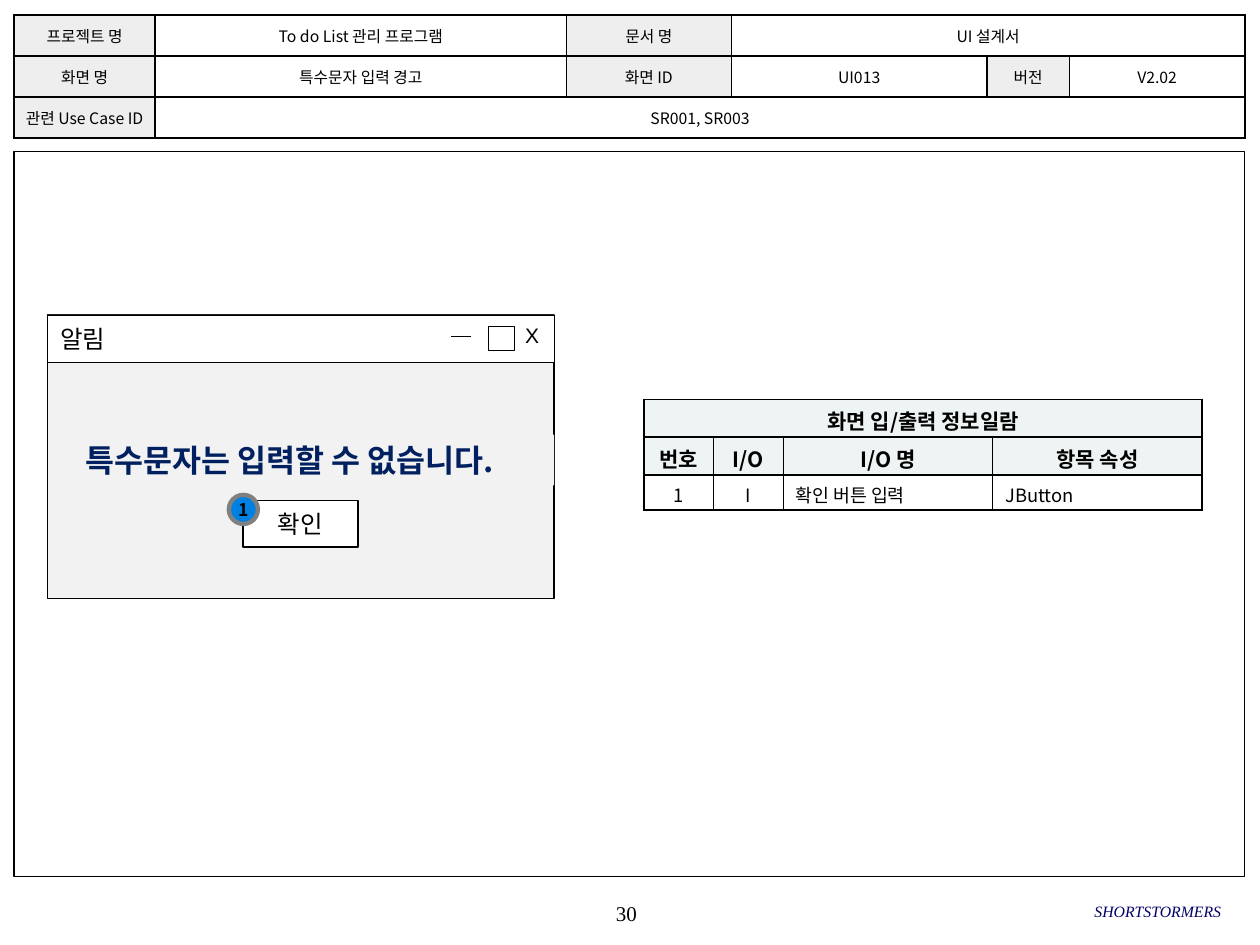
"""Build the UI design sheet for the special-character warning screen."""
from dataclasses import dataclass

from lxml.etree import SubElement
from pptx import Presentation
from pptx.dml.color import RGBColor as RGB
from pptx.enum.shapes import MSO_CONNECTOR as CONN, MSO_SHAPE as SHAPE
from pptx.enum.text import MSO_ANCHOR as ANCHOR, PP_ALIGN as ALIGN
from pptx.oxml.ns import qn
from pptx.util import Pt


@dataclass(frozen=True)
class Theme:
    """Fonts, colours and type sizes of the sheet."""
    sans: str = "Noto Sans CJK KR"
    serif: str = "Times New Roman"
    plain: str = "Arial"
    black: str = "000000"
    white: str = "FFFFFF"
    panel: str = "F2F2F2"
    label: str = "EEEEEE"
    head: str = "EEF4F4"
    badge: str = "0081E2"
    ring: str = "808080"
    navy: str = "002060"
    team: str = "000066"
    small: float = 9
    mark: float = 10
    cell: float = 10.5
    base: float = 12
    window: float = 14
    message: float = 18


T = Theme()


def set_attrs(obj, values):
    """Set every attribute named in a dict."""
    for name, value in values.items():
        setattr(obj, name, value)


def write(tf, text, size, align=ALIGN.LEFT, color=T.black, name=T.sans, **style):
    """Write one formatted paragraph into a text frame."""
    p = tf.paragraphs[0]
    p.alignment = align
    r = p.add_run()
    r.text = text
    set_attrs(r.font, dict(size=Pt(size), name=name, **style))
    r.font.color.rgb = RGB.from_string(color)
    SubElement(r.font._element, qn("a:ea"), typeface=name)


def paint(fill, color):
    """Apply a solid fill, or none."""
    if color:
        fill.solid()
        fill.fore_color.rgb = RGB.from_string(color)
    else:
        fill.background()


def add_box(shapes, box, fill=None, line=T.black, width=1, kind=SHAPE.RECTANGLE):
    """Add a flat preset shape and return it."""
    sp = shapes.add_shape(kind, *map(Pt, box))
    sp.shadow.inherit = False
    paint(sp.fill, fill)
    paint(sp.line.fill, line)
    if line:
        sp.line.width = Pt(width)
    set_attrs(sp.text_frame, dict(word_wrap=False, vertical_anchor=ANCHOR.MIDDLE))
    return sp


def add_label(shapes, box, text, size, align, **style):
    """Add a text box without insets."""
    tf = shapes.add_textbox(*map(Pt, box)).text_frame
    set_attrs(tf, dict(word_wrap=True, vertical_anchor=ANCHOR.MIDDLE, margin_left=0,
                       margin_right=0, margin_top=0, margin_bottom=0))
    write(tf, text, size, align, **style)


def add_rule(shapes, start, end, width):
    """Add a straight black line."""
    line = shapes.add_connector(CONN.STRAIGHT, *map(Pt, start + end))
    line.line.color.rgb = RGB.from_string(T.black)
    line.line.width = Pt(width)
    SubElement(line._element.spPr, qn("a:effectLst"))


def add_borders(cell):
    """Draw a black one-point border on each side of a cell."""
    tc_pr = cell._tc.get_or_add_tcPr()
    for i, side in enumerate(("lnL", "lnR", "lnT", "lnB")):
        ln = SubElement(tc_pr, qn(f"a:{side}"), w=str(Pt(1)))
        fill = SubElement(ln, qn("a:solidFill"))
        SubElement(fill, qn("a:srgbClr"), val=T.black)
        tc_pr.insert(i, ln)


def add_table(shapes, origin, widths, heights, rows, style_of, margins):
    """Add a bordered table; None extends the cell to its left."""
    size = sum(widths), sum(heights)
    table = shapes.add_table(len(rows), len(widths), *map(Pt, origin + size)).table
    set_attrs(table, dict(first_row=False, horz_banding=False))
    for col, width in zip(table.columns, widths):
        col.width = Pt(width)
    for i, (row, height) in enumerate(zip(rows, heights)):
        table.rows[i].height = Pt(height)
        for j, text in enumerate(row):
            cell = table.cell(i, j)
            fill, style = style_of(i, j)
            paint(cell.fill, fill)
            add_borders(cell)
            set_attrs(cell, dict(margins, vertical_anchor=ANCHOR.MIDDLE))
            if text is not None:
                write(cell.text_frame, text, **style)
        used = sum(text is not None for text in row)
        if used < len(row):
            table.cell(i, used - 1).merge(table.cell(i, len(row) - 1))


def header_style(i, j):
    """Shade the label cells of the document header."""
    is_label = (i, j) in {(0, 0), (1, 0), (2, 0), (0, 2), (1, 2), (1, 4)}
    return T.label if is_label else None, dict(size=T.small, align=ALIGN.CENTER)


def io_style(i, j):
    """Style two bold heading rows above the plain data rows."""
    if i < 2:
        return T.head, dict(size=T.base, align=ALIGN.CENTER, bold=True)
    return T.white, dict(size=T.cell, align=ALIGN.CENTER if j < 2 else ALIGN.LEFT)


def add_header(shapes):
    """Add the document header table."""
    rows = [["프로젝트 명", "To do List 관리 프로그램", "문서 명", "UI 설계서", None, None],
            ["화면 명", "특수문자 입력 경고", "화면 ID", "UI013", "버전", "V2.02"],
            ["관련 Use Case ID", "SR001, SR003", None, None, None, None]]
    margins = dict(margin_left=Pt(3), margin_right=Pt(3),
                   margin_top=Pt(1.5), margin_bottom=Pt(1.5))
    add_table(shapes, (8, 8.6), [80.6, 235, 94.3, 146.2, 47, 100.3], [23.4] * 3,
              rows, header_style, margins)


def add_io_table(shapes):
    """Add the list of screen inputs and outputs."""
    rows = [["화면 입/출력 정보일람", None, None, None],
            ["번호", "I/O", "I/O 명", "항목 속성"],
            ["1", "I", "확인 버튼 입력", "JButton"]]
    add_table(shapes, (368, 228.2), [39.8, 39.8, 119.7, 119.7], [21.5, 21.5, 20],
              rows, io_style, {})


def add_window(shapes):
    """Add the alert window with its title bar and button."""
    left, top, width = 27.2, 180, 289.4
    add_box(shapes, (left, top, width, 162), T.panel)
    bar = add_box(shapes, (left, top, width, 27.2), T.white, width=0.25)
    write(bar.text_frame, "알림", T.window)
    add_label(shapes, (298, 181, 12, 21.6), "X", T.base, ALIGN.CENTER, name=T.plain)
    add_box(shapes, (278.8, 186.5, 15.2, 13.7), T.white, width=0.25)
    add_rule(shapes, (269.4, 192.2), (257.8, 192.2), 0.25)
    button = add_box(shapes, (139, 286, 65.5, 26.6), T.white)
    write(button.text_frame, "확인", T.window, ALIGN.CENTER)


def main():
    """Build and save the slide."""
    prs = Presentation()
    set_attrs(prs, dict(slide_width=Pt(720), slide_height=Pt(540)))
    shapes = prs.slides.add_slide(prs.slide_layouts[6]).shapes
    add_label(shapes, (283, 510, 149.8, 23.8), "30", T.base, ALIGN.CENTER, name=T.serif)
    add_box(shapes, (8, 86.5, 703.4, 414.2), width=0.75)
    add_label(shapes, (477.4, 509, 220.3, 23.8), "SHORTSTORMERS", T.small, ALIGN.RIGHT,
              color=T.team, name=T.serif, italic=True)
    add_header(shapes)
    add_window(shapes.add_group_shape().shapes)
    badge = add_box(shapes, (130.8, 282.8, 16.6, 16.6), T.badge, T.ring, 2.5, SHAPE.OVAL)
    write(badge.text_frame, "1", T.mark, ALIGN.CENTER, bold=True)
    add_io_table(shapes)
    message = add_box(shapes, (41.6, 248.4, 275, 29), T.panel, None)
    write(message.text_frame, "특수문자는 입력할 수 없습니다.", T.message,
          color=T.navy, bold=True)
    prs.save("out.pptx")


if __name__ == "__main__":
    main()
